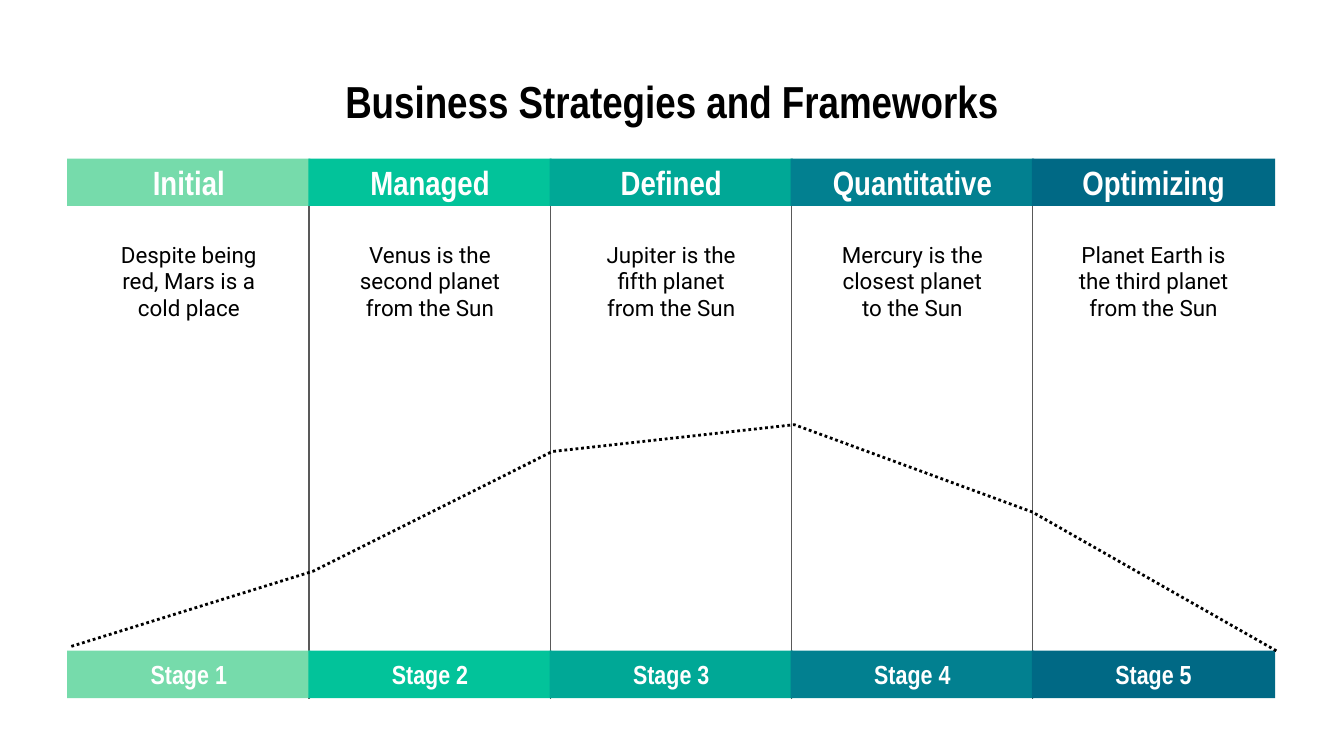
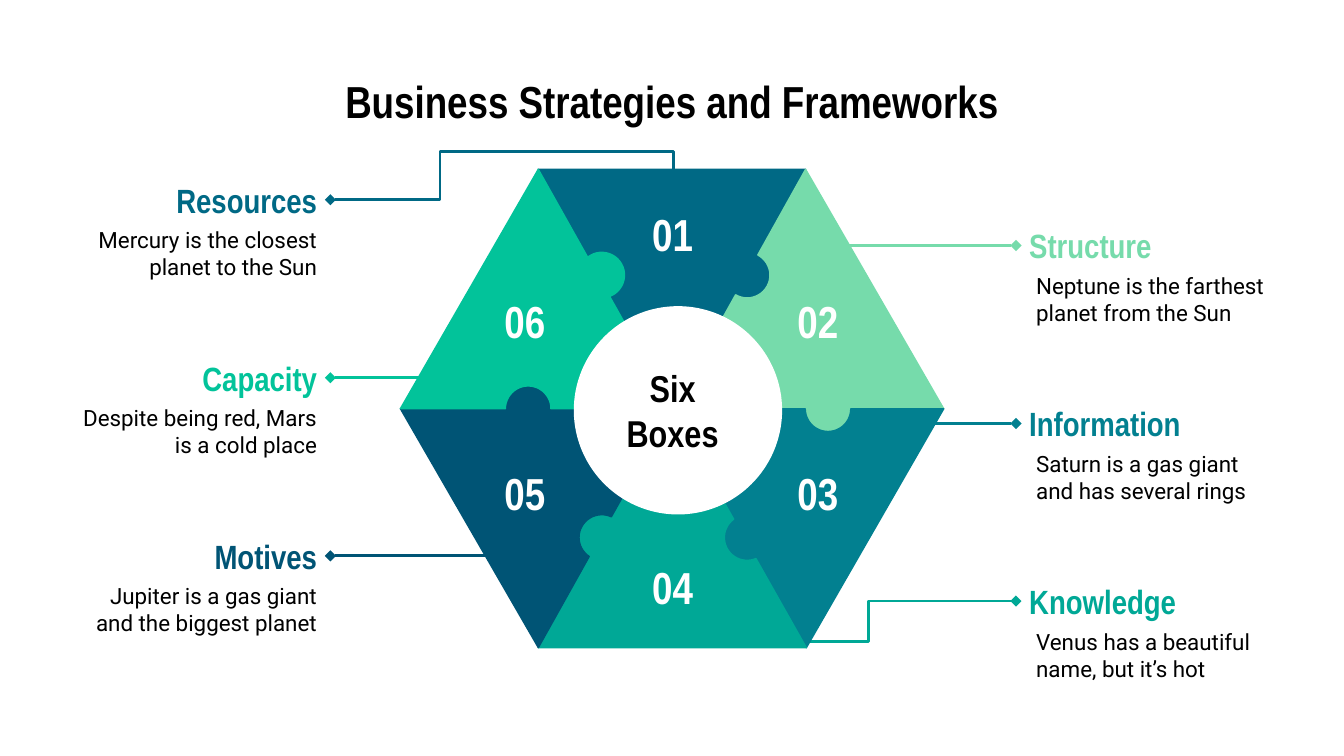
import math

from lxml import etree
from pptx import Presentation
from pptx import util as u
from pptx.dml.color import RGBColor
from pptx.enum import dml, shapes, text
from pptx.oxml.ns import qn

COLORS = {
    "black": "000000", "white": "FFFFFF", "gray": "595959",
    "mint": "76DBAB", "green": "02C39A", "jade": "00A896",
    "teal": "028090", "blue": "006985", "navy": "005475",
}
HEADING, BODY = "Arial Narrow", "Roboto"
TITLE = "Business Strategies and Frameworks"
LEFT, CENTER, RIGHT = text.PP_ALIGN.LEFT, text.PP_ALIGN.CENTER, text.PP_ALIGN.RIGHT
TOP, MIDDLE = text.MSO_ANCHOR.TOP, text.MSO_ANCHOR.MIDDLE

# Maturity stages: heading, description, colour
STAGES = [
    ("Initial", "Despite being red, Mars is a cold place", "mint"),
    ("Managed", "Venus is the second planet from the Sun", "green"),
    ("Defined", "Jupiter is the fifth planet from the Sun", "jade"),
    ("Quantitative", "Mercury is the closest planet to the Sun", "teal"),
    ("Optimizing", "Planet Earth is the third planet from the Sun", "blue"),
]
CURVE = [(38.2, 346.3), (167.8, 306), (295.9, 241.9),
         (425.5, 227.5), (553, 274.3), (684.7, 349.2)]
COLUMN_LEFT, COLUMN_STEP, COLUMN_WIDTH = 36, 129.2, 130.4
BAND_TOP, BAND_BOTTOM, BAND_HEIGHT = 85, 348.6, 25.4

# Puzzle seams, clockwise: outer vertex, hub end, knob centre
SEAMS = [
    ((288.4, 90.7), (334.1, 172.1), (322.4, 147.4)),
    ((431.6, 90.7), (387.4, 169.9), (400.3, 147.4)),
    ((505.6, 219), (419, 219), (443.6, 219)),
    ((432, 347), (388.1, 269.3), (400.3, 288)),
    ((288.4, 347), (333.4, 266.4), (322.4, 288)),
    ((214.5, 219), (307.4, 219), (283, 219)),
]
KNOB_RADIUS = 12.2

# Pieces, clockwise: colour and place of the number
PIECES = [
    ("blue", 334.8, 114.5), ("mint", 412.6, 161.3), ("teal", 412.6, 253.4),
    ("jade", 334.8, 303.8), ("navy", 255.6, 253.4), ("green", 255.6, 161.3),
]

# Labels by side: heading, description, colour, x where a straight line ends
LEFT_LABELS = [
    ("Resources", "Mercury is the closest planet to the Sun", "blue", None),
    ("Capacity", "Despite being red, Mars is a cold place", "green", 243.4),
    ("Motives", "Jupiter is a gas giant and the biggest planet", "navy", 274.3),
]
RIGHT_LABELS = [
    ("Structure", "Neptune is the farthest planet from the Sun", "mint", 439.9),
    ("Information", "Saturn is a gas giant and has several rings", "teal", 483.8),
    ("Knowledge", "Venus has a beautiful name, but it’s hot", "jade", None),
]
LABEL_STEP, LABEL_WIDTH, LABEL_HEIGHT = 95.4, 141, 16.6


def rgb(name):
    return RGBColor.from_string(COLORS[name])


def points(*values):
    return [u.Pt(value) for value in values]


def write(shape, content, size, font, color, bold=False,
          align=CENTER, anchor=MIDDLE, inset=7.2):
    frame = shape.text_frame
    frame.word_wrap = True
    frame.vertical_anchor = anchor
    frame.margin_left = u.Pt(inset)
    frame.margin_top = frame.margin_right = frame.margin_bottom = u.Pt(7.2)
    frame.text = content
    paragraph = frame.paragraphs[0]
    paragraph.alignment = align
    run_font = paragraph.runs[0].font
    run_font.name, run_font.size, run_font.bold = font, u.Pt(size), bold
    run_font.color.rgb = rgb(color)


def add_text(slide, box, content, size, font, color, **options):
    shape = slide.shapes.add_textbox(*points(*box))
    write(shape, content, size, font, color, **options)
    return shape


def add_filled(slide, kind, box, color):
    shape = slide.shapes.add_shape(kind, *points(*box))
    shape.shadow.inherit = False
    shape.fill.solid()
    shape.fill.fore_color.rgb = rgb(color)
    shape.line.fill.background()
    return shape


def add_band(slide, left, top, content, size, color):
    box = (left, top, COLUMN_WIDTH, BAND_HEIGHT)
    band = add_filled(slide, shapes.MSO_SHAPE.RECTANGLE, box, color)
    write(band, content, size, HEADING, "white", bold=True)


def add_outline(slide, vertices, color, width, closed):
    vertices = [points(*vertex) for vertex in vertices]
    builder = slide.shapes.build_freeform(*vertices[0])
    builder.add_line_segments(vertices[1:], close=closed)
    shape = builder.convert_to_shape()
    shape.shadow.inherit = False
    shape.line.color.rgb = rgb(color)
    shape.line.width = u.Pt(width)
    if closed:
        shape.fill.solid()
        shape.fill.fore_color.rgb = rgb(color)
    else:
        shape.fill.background()
    return shape


def add_line(slide, begin, end, color, width, kind=shapes.MSO_CONNECTOR.STRAIGHT,
             diamond=None):
    connector = slide.shapes.add_connector(kind, *points(*begin, *end))
    connector.line.color.rgb = rgb(color)
    connector.line.width = u.Pt(width)
    if diamond:
        etree.SubElement(connector.line._get_or_add_ln(), qn(diamond), type="diamond")
    etree.SubElement(connector._element.spPr, qn("a:effectLst"))
    return connector


def add_elbow(slide, begin, end, color, adjustments, degrees, flipped):
    """Four-part elbow, turned so that it leaves its start vertically."""
    connector = add_line(slide, begin, end, color, 1.5,
                         shapes.MSO_CONNECTOR.ELBOW, "a:tailEnd")
    span, rise = abs(end[0] - begin[0]), abs(end[1] - begin[1])
    connector.left, connector.top, connector.width, connector.height = points(
        (begin[0] + end[0] - rise) / 2, (begin[1] + end[1] - span) / 2, rise, span)
    properties = connector._element.spPr
    frame = properties.find(qn("a:xfrm"))
    for flip in ("flipH", "flipV"):
        frame.attrib.pop(flip, None)
    frame.set("rot", str(degrees * 60000))
    if flipped:
        frame.set("flipH", "1")
    geometry = properties.find(qn("a:prstGeom"))
    geometry.set("prst", "bentConnector4")
    guides = geometry.find(qn("a:avLst"))
    for number, value in enumerate(adjustments, 1):
        etree.SubElement(guides, qn("a:gd"), name=f"adj{number}", fmla=f"val {value}")


def seam_path(vertex, hub, knob, steps=24):
    """Points from the outer vertex, clockwise round the knob, to the hub."""
    heading = math.atan2(hub[1] - vertex[1], hub[0] - vertex[0])
    outward = heading - math.pi / 2
    offset = ((knob[0] - vertex[0]) * math.cos(outward)
              + (knob[1] - vertex[1]) * math.sin(outward))
    half = math.pi / 2 + math.asin(offset / KNOB_RADIUS)
    angles = [outward - half + 2 * half * step / steps for step in range(steps + 1)]
    arc = [(knob[0] + KNOB_RADIUS * math.cos(angle),
            knob[1] + KNOB_RADIUS * math.sin(angle)) for angle in angles]
    return [vertex, *arc, hub]


def add_label(slide, left, top, heading, description, color, line_end, is_left):
    align = RIGHT if is_left else LEFT
    add_text(slide, (left, top + 15.3, LABEL_WIDTH, 44.6), description, 12, BODY, "black",
             align=align, anchor=TOP, inset=7.2 if is_left else 10.8)
    label = add_text(slide, (left, top, LABEL_WIDTH, LABEL_HEIGHT), heading, 18, HEADING,
                     color, bold=True, align=align)
    if line_end:
        start = left + LABEL_WIDTH if is_left else left
        middle = top + LABEL_HEIGHT / 2
        connector = add_line(slide, (start, middle), (line_end, middle), color, 1.5,
                             diamond="a:headEnd")
        connector.begin_connect(label, 3 if is_left else 1)


def new_slide(presentation):
    slide = presentation.slides.add_slide(presentation.slide_layouts[6])
    add_text(slide, (36, 32.4, 648, 45.4), TITLE, 24, HEADING, "black",
             bold=True, anchor=TOP)
    return slide


def build_stages(presentation):
    slide = new_slide(presentation)
    lefts = [COLUMN_LEFT + COLUMN_STEP * index for index in range(len(STAGES))]
    # Dividers
    for left in lefts[1:]:
        add_line(slide, (left + 0.4, BAND_TOP), (left + 0.4, 374.4), "gray", 0.75)
    # Columns
    for number, (left, stage) in enumerate(zip(lefts, STAGES), 1):
        heading, description, color = stage
        add_band(slide, left, BAND_TOP, heading, 18, color)
        add_band(slide, left, BAND_BOTTOM, f"Stage {number}", 14, color)
        add_text(slide, (left + 18, 111.6, 94.4, 77.8), description, 12, BODY, "black")
    # Dotted curve
    curve = add_outline(slide, CURVE, "black", 1.5, closed=False)
    curve.line.dash_style = dml.MSO_LINE.ROUND_DOT


def build_six_boxes(presentation):
    slide = new_slide(presentation)
    # Labels and their lines
    for left, first_top, labels, is_left in ((36, 98.7, LEFT_LABELS, True),
                                             (544.3, 123.2, RIGHT_LABELS, False)):
        for row, label in enumerate(labels):
            add_label(slide, left, first_top + row * LABEL_STEP, *label, is_left)
    add_elbow(slide, (361, 110), (177, 107), "blue", (964300, 68100), 90, True)
    add_elbow(slide, (361, 325), (544.3, 322), "jade", (-620100, 57000), 270, False)
    # Puzzle pieces
    paths = [seam_path(*seam) for seam in SEAMS]
    for index, (color, left, top) in enumerate(PIECES):
        following = paths[(index + 1) % len(paths)]
        add_outline(slide, paths[index][::-1] + following, color, 0.75, closed=True)
    for number, (color, left, top) in enumerate(PIECES, 1):
        add_text(slide, (left, top, 51, 21), f"{number:02}", 24, HEADING, "white", bold=True)
    # Hub
    add_filled(slide, shapes.MSO_SHAPE.OVAL, (307.4, 164, 111.6, 111.6), "white")
    add_text(slide, (324.7, 197.3, 71.3, 44.6), "Six Boxes", 20, HEADING, "black", bold=True)


def main():
    presentation = Presentation()
    presentation.slide_width, presentation.slide_height = points(720, 405)
    build_stages(presentation)
    build_six_boxes(presentation)
    presentation.save("out.pptx")


if __name__ == "__main__":
    main()
